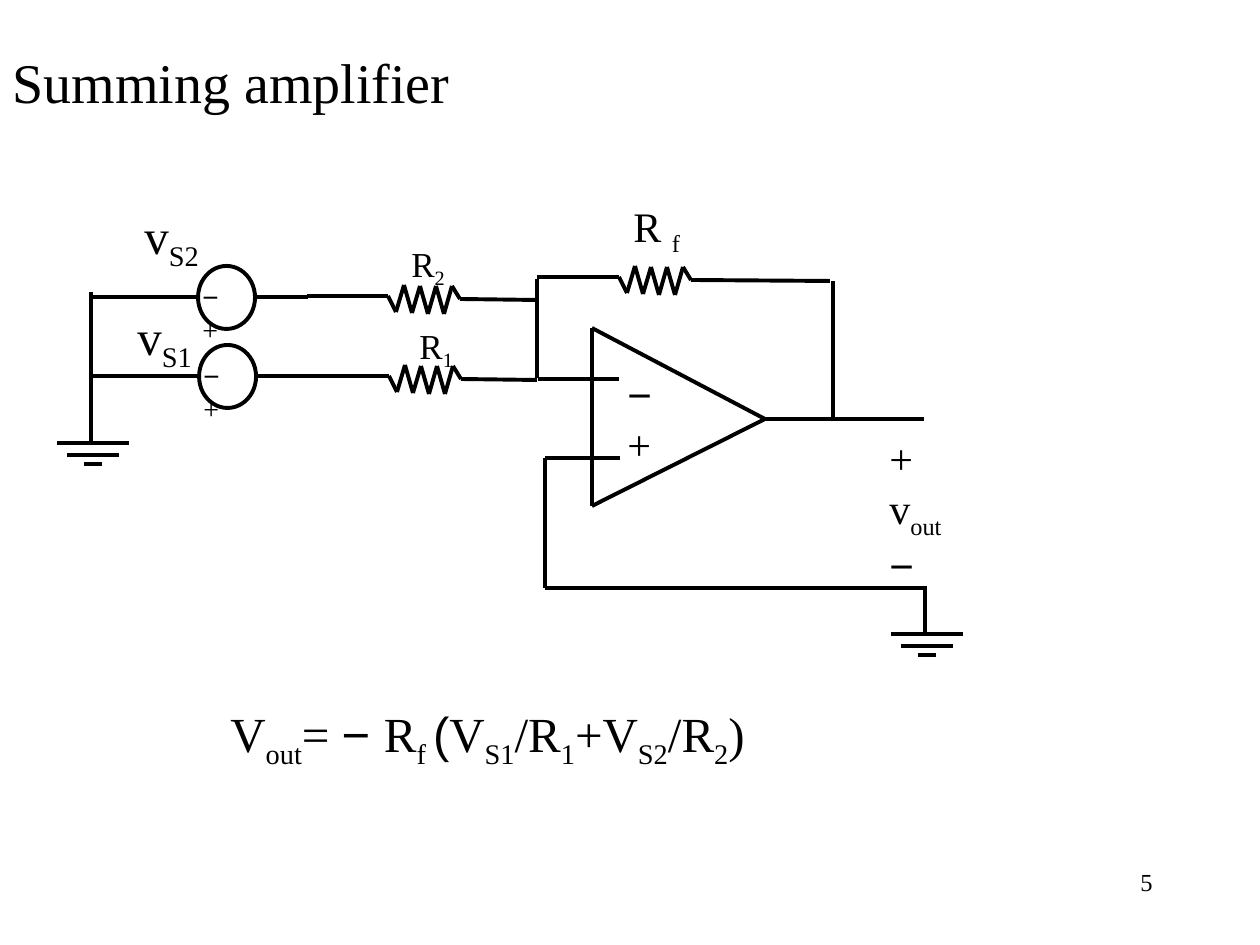
from itertools import pairwise

from lxml import etree
from pptx import Presentation
from pptx.dml.color import RGBColor
from pptx.enum.shapes import MSO_CONNECTOR, MSO_SHAPE
from pptx.enum.text import MSO_ANCHOR, MSO_AUTO_SIZE, PP_ALIGN
from pptx.oxml.ns import qn
from pptx.util import Emu, Pt

STRAIGHT = MSO_CONNECTOR.STRAIGHT
OVAL = MSO_SHAPE.OVAL
MIDDLE, TOP = MSO_ANCHOR.MIDDLE, MSO_ANCHOR.TOP
LEFT, RIGHT = PP_ALIGN.LEFT, PP_ALIGN.RIGHT
FIT, FIXED = MSO_AUTO_SIZE.SHAPE_TO_FIT_TEXT, MSO_AUTO_SIZE.NONE

THEME = {
    "ink": RGBColor(0, 0, 0),
    "line": Pt(2.25),
    "serif": "Times New Roman",
    "sans": "Arial",
    "title": Pt(32),
    "formula": Pt(28),
    "label": Pt(24),
    "resistor": Pt(20),
    "sign": Pt(16),
    "page": Pt(14),
}
SUB, SANS = "sub", "sans"
MINUS, PLUS = [("−", SANS)], [("+", "")]

FORMULA = [
    ("V", ""), ("out", SUB), ("= ", ""), ("− ", SANS), ("R", ""), ("f ", SUB),
    ("(", SANS), ("V", ""), ("S1", SUB), ("/R", ""), ("1", SUB),
    ("+V", ""), ("S2", SUB), ("/R", ""), ("2", SUB), (")", ""),
]
LABELS = [
    ((615, 362, 49, 113), "label", [MINUS, PLUS]),
    ((877, 426, 82, 164), "label", [PLUS, [("v", ""), ("out", SUB)], MINUS]),
    ((621, 194, 73, 63), "label", [[("R ", ""), ("f", SUB)]]),
    ((407, 318, 60, 54), "resistor", [[("R", ""), ("1", SUB)]]),
    ((399, 236, 60, 54), "resistor", [[("R", ""), ("2", SUB)]]),
    ((125, 300, 86, 72), "formula", [[("v", ""), ("S1", SUB)]]),
    ((132, 199, 86, 72), "formula", [[("v", ""), ("S2", SUB)]]),
]
WIRES = [
    [(592, 328), (765, 419), (592, 506), (592, 328)],
    [(538, 379), (619, 379)],
    [(620, 458), (545, 458), (545, 588), (927, 588)],
    [(765, 419), (924, 419)],
    [(537, 378), (537, 279)],
    [(833, 281), (833, 419)],
]
GROUNDS = [(91, 292, 443), (925, 590, 634)]
GROUND_BARS = [(36, 0), (26, 12), (9, 21)]
RESISTORS = [(537, 619, 277, 830), (307, 388, 296, 536), (307, 389, 376, 537)]
ZIGZAG_STEP = 8
ZIGZAG = [0, 16, -11, 17, -10, 18, -10, 18, -10, 3]
SOURCES = [(226, 297), (227, 376)]

PX = 914400 / 126


def px(*values):
    return [Emu(round(v * PX)) for v in values]


def draw_path(shapes, points):
    for start, end in pairwise(points):
        s = shapes.add_connector(STRAIGHT, *px(*start, *end))
        s.line.color.rgb = THEME["ink"]
        s.line.width = THEME["line"]
        etree.SubElement(s._element.spPr, qn("a:effectLst"))


def draw_ground(shapes, x, top, bottom):
    draw_path(shapes, [(x, top), (x, bottom)])
    for half, drop in GROUND_BARS:
        y = bottom + drop
        draw_path(shapes, [(x + 2 - half, y), (x + 2 + half, y)])


def draw_resistor(shapes, start, left, y, end):
    zigzag = [(left + i * ZIGZAG_STEP, y + dy) for i, dy in enumerate(ZIGZAG)]
    draw_path(shapes, [(start, y), *zigzag, (end, y + 4)])


def draw_source(shapes, x, y):
    s = shapes.add_shape(OVAL, *px(x - 31, y - 28, 63, 57))
    s.rotation = 90
    s.shadow.inherit = False
    s.fill.background()
    s.line.color.rgb = THEME["ink"]
    s.line.width = THEME["line"]
    draw_path(shapes, [(91, y), (x - 29, y)])
    draw_path(shapes, [(x + 28, y), (308, y)])
    add_text(shapes, (x - 36, y - 24, 71, 47), "sign", [MINUS, PLUS])


def add_text(shapes, box, size, paragraphs, align=LEFT, **frame):
    tf = shapes.add_textbox(*px(*box)).text_frame
    frame_format = {"word_wrap": True, "auto_size": FIXED,
                    "vertical_anchor": TOP} | frame
    for name, value in frame_format.items():
        setattr(tf, name, value)
    for i, runs in enumerate(paragraphs):
        p = tf.add_paragraph() if i else tf.paragraphs[0]
        p.alignment = align
        for text, style in runs:
            r = p.add_run()
            r.text = text
            font = {"name": THEME["sans" if style == SANS else "serif"],
                    "size": THEME[size]}
            for name, value in font.items():
                setattr(r.font, name, value)
            r.font.color.rgb = THEME["ink"]
            if style == SUB:
                r._r.get_or_add_rPr().set("baseline", "-25000")


def main():
    prs = Presentation()
    prs.slide_width, prs.slide_height = px(1260, 945)
    shapes = prs.slides.add_slide(prs.slide_layouts[6]).shapes

    add_text(shapes, (0, 2, 1071, 158), "title", [[("Summing amplifier", "")]],
             vertical_anchor=MIDDLE)
    add_text(shapes, (903, 861, 262, 63), "page", [[("5", "")]], align=RIGHT)
    for points in WIRES:
        draw_path(shapes, points)
    for ground in GROUNDS:
        draw_ground(shapes, *ground)
    for resistor in RESISTORS:
        draw_resistor(shapes, *resistor)
    for source in SOURCES:
        draw_source(shapes, *source)
    for box, size, paragraphs in LABELS:
        add_text(shapes, box, size, paragraphs, word_wrap=False, auto_size=FIT)
    add_text(shapes, (218, 697, 745, 72), "formula", [FORMULA], auto_size=FIT)

    prs.save("out.pptx")


if __name__ == "__main__":
    main()
